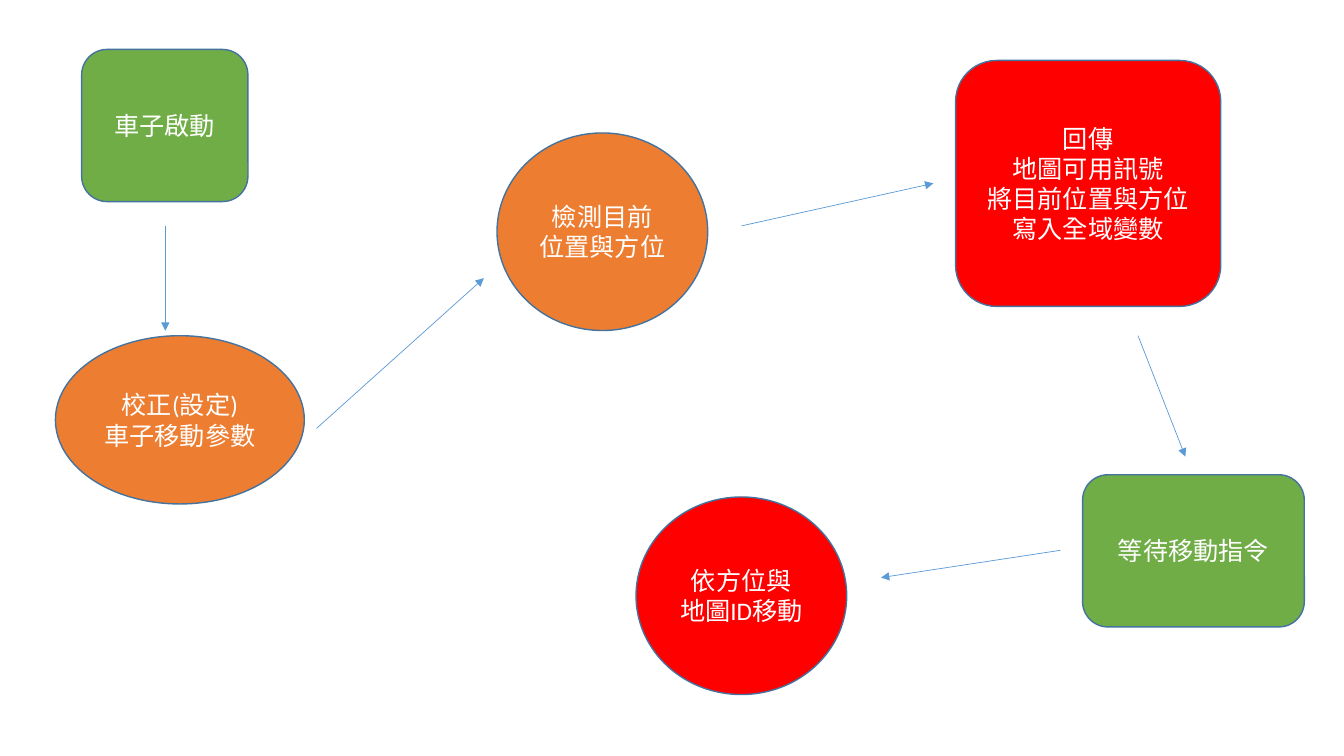
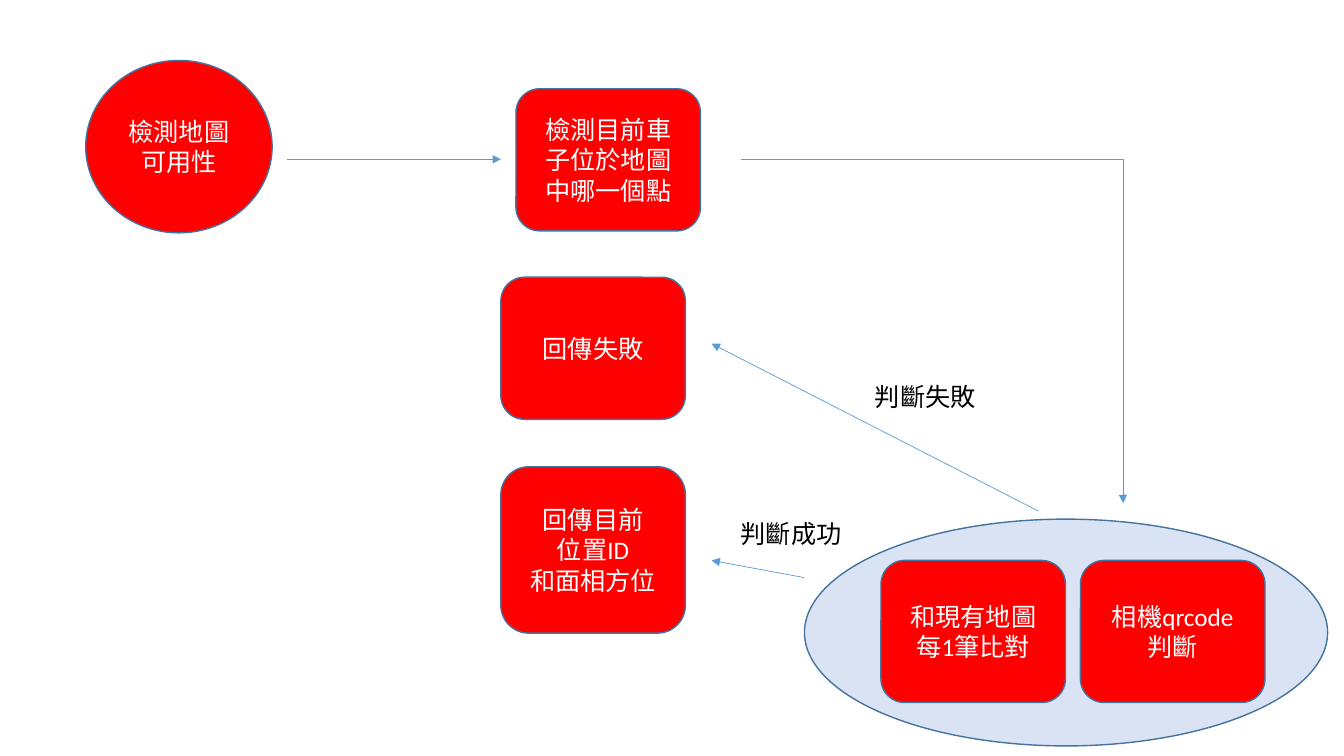
"""Build two flow charts: the start of the car and the check of its map."""
from lxml import etree
from pptx import Presentation
from pptx.dml.color import RGBColor
from pptx.enum.lang import MSO_LANGUAGE_ID
from pptx.enum.shapes import MSO_CONNECTOR, MSO_SHAPE
from pptx.enum.text import MSO_ANCHOR, MSO_AUTO_SIZE, PP_ALIGN
from pptx.oxml.ns import qn
from pptx.util import Pt

OVAL, BOX = MSO_SHAPE.OVAL, MSO_SHAPE.ROUNDED_RECTANGLE
STRAIGHT, ELBOW = MSO_CONNECTOR.STRAIGHT, MSO_CONNECTOR.ELBOW
CENTER, MIDDLE = PP_ALIGN.CENTER, MSO_ANCHOR.MIDDLE
FIT_SHAPE = MSO_AUTO_SIZE.SHAPE_TO_FIT_TEXT

RED = RGBColor(0xFF, 0x00, 0x00)
ORANGE = RGBColor(0xED, 0x7D, 0x31)
GREEN = RGBColor(0x70, 0xAD, 0x47)
PALE_BLUE = RGBColor(0xDA, 0xE3, 0xF3)
BLUE = RGBColor(0x5B, 0x9B, 0xD5)
OUTLINE = RGBColor(0x43, 0x73, 0x9E)
WHITE = RGBColor(0xFF, 0xFF, 0xFF)
BLACK = RGBColor(0x00, 0x00, 0x00)

FONT = {"name": "Calibri", "size": Pt(18),
        "language_id": MSO_LANGUAGE_ID.TRADITIONAL_CHINESE}


class FlowChart:
    """Holds the style and the current slide."""

    def __init__(self, prs):
        """Keep the presentation that receives the slides."""
        self.prs = prs
        self.s = None

    def slide(self):
        """Start a blank slide."""
        self.s = self.prs.slides.add_slide(self.prs.slide_layouts[6])

    def set_text(self, tf, text, color, align=None):
        """Fill a text frame; \\v breaks a line and \\n a paragraph."""
        tf.text = text
        for p in tf.paragraphs:
            p.alignment = align
            for r in p.runs:
                for key, value in FONT.items():
                    setattr(r.font, key, value)
                r.font.color.rgb = color

    def node(self, kind, fill, x, y, w, h, text=""):
        """Add a filled step with centred text."""
        sp = self.s.shapes.add_shape(kind, Pt(x), Pt(y), Pt(w), Pt(h))
        sp.shadow.inherit = False
        sp.fill.solid()
        sp.fill.fore_color.rgb = fill
        sp.line.color.rgb = OUTLINE
        sp.line.width = Pt(1)
        sp.text_frame.vertical_anchor = MIDDLE
        if text:
            self.set_text(sp.text_frame, text, WHITE, CENTER)

    def label(self, x, y, text):
        """Add a plain label beside an arrow."""
        sp = self.s.shapes.add_textbox(Pt(x), Pt(y), Pt(87.1), Pt(28.8))
        tf = sp.text_frame
        tf.word_wrap = False
        tf.auto_size = FIT_SHAPE
        self.set_text(tf, text, BLACK)

    def arrow(self, x1, y1, x2, y2, kind=STRAIGHT, bend=None):
        """Add an arrow; bend is where an elbow turns, as a share of its width."""
        cxn = self.s.shapes.add_connector(kind, Pt(x1), Pt(y1), Pt(x2), Pt(y2))
        cxn.line.color.rgb = BLUE
        cxn.line.width = Pt(0.5)
        spPr = cxn._element.spPr
        etree.SubElement(spPr.find(qn("a:ln")), qn("a:tailEnd"), type="triangle")
        etree.SubElement(spPr, qn("a:effectLst"))
        if bend is not None:
            guides = spPr.find(qn("a:prstGeom")).find(qn("a:avLst"))
            etree.SubElement(guides, qn("a:gd"), name="adj1",
                             fmla=f"val {round(bend * 100000)}")


def start_slide(chart):
    """Draw the steps from starting the car to moving it."""
    chart.slide()
    circle, green_height = (150.5, 141.1), 108.7
    chart.node(OVAL, ORANGE, 39.6, 239.8, 177.8, 120.2, "校正(設定)\v車子移動參數")
    chart.node(BOX, RED, 682.6, 43.2, 189.4, 175.7,
               "回傳\v地圖可用訊號\v將目前位置與方位寫入全域變數")
    chart.node(OVAL, ORANGE, 355, 95, *circle, "檢測目前\v位置與方位")
    chart.node(BOX, GREEN, 58.3, 35.3, 118.8, green_height, "車子啟動")
    chart.node(BOX, GREEN, 773.3, 339.1, 158.4, green_height, "等待移動指令")
    chart.node(OVAL, RED, 454.3, 355, *circle, "依方位與\n地圖ID移動")
    for ends in ((118.1, 161.3, 118.1, 236.2), (226.1, 306, 345.6, 198.7),
                 (529.9, 161.3, 666.7, 131), (812.9, 239.8, 846.7, 326.2),
                 (757.4, 393.1, 629.3, 412.6)):
        chart.arrow(*ends)


def map_slide(chart):
    """Draw the check of the map and its two results."""
    chart.slide()
    chart.node(OVAL, RED, 61.2, 43.2, 133.2, 123.1, "檢測地圖可用性")
    chart.node(OVAL, PALE_BLUE, 574.6, 370.8, 373.7, 162)
    for x, y, h, text in ((368.6, 63.4, 101.5, "檢測目前車子位於地圖中哪一個點"),
                          (357.8, 198, 101.5, "回傳失敗"),
                          (357.8, 333.4, 118.8, "回傳目前\v位置ID\v和面相方位"),
                          (629.3, 400.3, 101.5, "和現有地圖每1筆比對"),
                          (771.8, 400.3, 101.5, "相機qrcode 判斷")):
        chart.node(BOX, RED, x, y, 131.8, h, text)
    chart.arrow(205.2, 113.8, 357.8, 113.8)
    chart.arrow(529.2, 113.8, 802.4, 359.3, ELBOW, 0.999)
    chart.arrow(741.6, 365, 508.3, 245.5)
    chart.arrow(574.6, 412.6, 508.3, 400.3)
    chart.label(617.8, 268.6, "判斷失敗")
    chart.label(522, 366.5, "判斷成功")


prs = Presentation()
prs.slide_width, prs.slide_height = Pt(960), Pt(540)
flow = FlowChart(prs)
start_slide(flow)
map_slide(flow)
prs.save("out.pptx")
